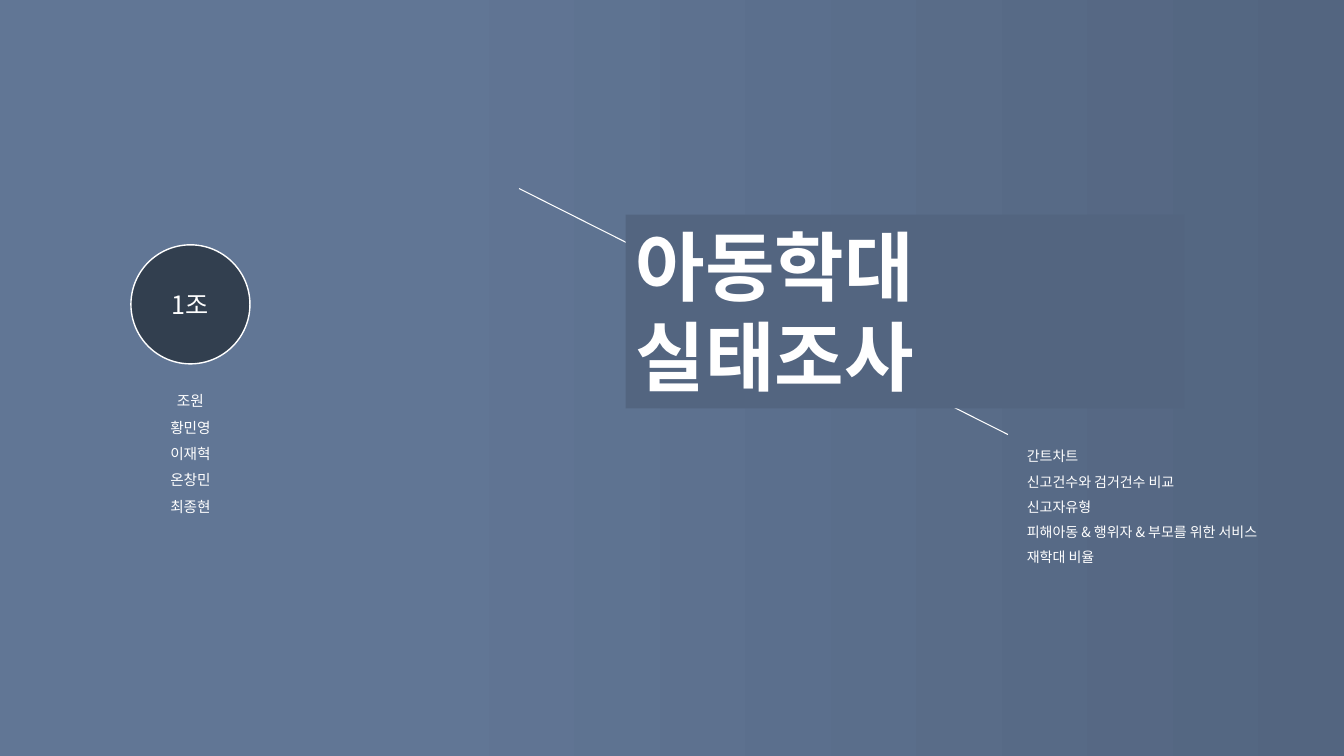
import copy

import pptx
import pptx.dml.color
import pptx.enum.shapes
import pptx.enum.text
import pptx.oxml.ns
import pptx.util
from lxml import etree

Cm = pptx.util.Cm
RGBColor = pptx.dml.color.RGBColor
ALIGN = pptx.enum.text.PP_ALIGN
ANCHOR = pptx.enum.text.MSO_ANCHOR
SHAPE = pptx.enum.shapes.MSO_SHAPE
qn = pptx.oxml.ns.qn

WHITE = RGBColor(0xFF, 0xFF, 0xFF)
BLUE = RGBColor(0x61, 0x76, 0x95)
SLATE = RGBColor(0x53, 0x65, 0x80)
NAVY = RGBColor(0x32, 0x3F, 0x4F)
FONT = "Noto Sans CJK KR"


def write(frame, text, size, bold=False, align=ALIGN.LEFT, anchor=ANCHOR.TOP, spacing=None):
    """Fill a text frame, one paragraph per line of text."""
    frame.word_wrap = True
    frame.vertical_anchor = anchor
    frame.text = text
    for paragraph in frame.paragraphs:
        paragraph.alignment = align
        paragraph.line_spacing = spacing
        font = paragraph.runs[0].font
        font.name, font.size, font.bold = FONT, pptx.util.Pt(size), bold
        font.color.rgb = WHITE
        east_asian = etree.Element(qn("a:ea"), typeface=FONT)
        paragraph.runs[0]._r.rPr.find(qn("a:latin")).addnext(east_asian)


class Cover:
    def __init__(self, slide):
        self.slide = slide

    def background(self, stops):
        fill = self.slide.background.fill
        fill.gradient()
        fill.gradient_angle = 0
        stop_list = self.slide.element.find(".//" + qn("a:gsLst"))
        while len(stop_list) < len(stops):
            stop_list.append(copy.deepcopy(stop_list[-1]))
        for stop, (position, color) in zip(fill.gradient_stops, stops):
            stop.position = position
            stop.color.rgb = color

    def line(self, x1, y1, x2, y2):
        line = self.slide.shapes.add_connector(
            pptx.enum.shapes.MSO_CONNECTOR.STRAIGHT, Cm(x1), Cm(y1), Cm(x2), Cm(y2))
        line.line.color.rgb = WHITE
        line.line.width = pptx.util.Pt(0.75)
        etree.SubElement(line._element.spPr, qn("a:effectLst"))

    def text(self, x, y, width, height, text, **style):
        box = self.slide.shapes.add_textbox(Cm(x), Cm(y), Cm(width), Cm(height))
        write(box.text_frame, text, **style)

    def shape(self, kind, x, y, width, height, fill, text, outline=None, **style):
        shape = self.slide.shapes.add_shape(kind, Cm(x), Cm(y), Cm(width), Cm(height))
        shape.shadow.inherit = False
        shape.fill.solid()
        shape.fill.fore_color.rgb = fill
        if outline is None:
            shape.line.fill.background()
        else:
            shape.line.color.rgb = outline
            shape.line.width = pptx.util.Pt(1)
        write(shape.text_frame, text, **style)


def main():
    deck = pptx.Presentation()
    deck.slide_width, deck.slide_height = Cm(33.87), Cm(19.05)
    cover = Cover(deck.slides.add_slide(deck.slide_layouts[6]))
    cover.background([(0, BLUE), (0.3, BLUE), (1, SLATE)])

    # Diagonal line, passing behind the title
    cover.line(13.08, 4.75, 25.4, 10.95)

    # Contents
    topics = ["간트차트", "신고건수와 검거건수 비교", "신고자유형",
              "피해아동 & 행위자 & 부모를 위한 서비스", "재학대 비율"]
    cover.text(25.63, 10.95, 7.62, 3.96, "\n".join(topics), size=10, spacing=1.5)

    # Team members and team badge
    members = ["조원", "황민영", "이재혁", "온창민", "최종현"]
    cover.text(0.99, 9.53, 7.62, 3.63, "\n".join(members), size=10.5,
               align=ALIGN.CENTER, spacing=1.5)
    cover.shape(SHAPE.OVAL, 3.3, 6.17, 3, 3, NAVY, "1조", outline=WHITE,
                size=18, align=ALIGN.CENTER, anchor=ANCHOR.MIDDLE)

    # Title
    cover.shape(SHAPE.RECTANGLE, 15.77, 5.41, 14.07, 4.88, SLATE, "아동학대\n실태조사",
                size=54, bold=True)

    deck.save("out.pptx")


if __name__ == "__main__":
    main()
